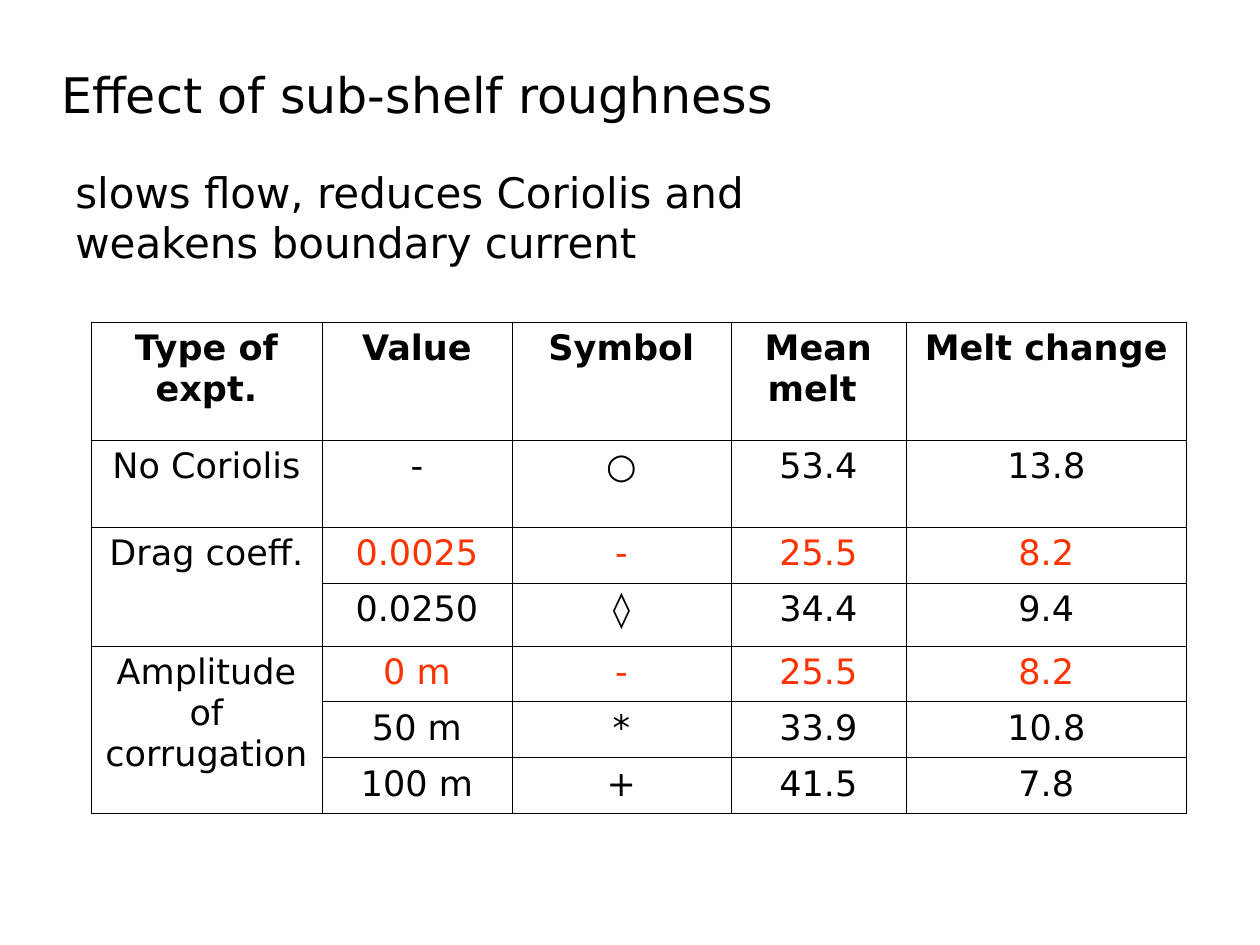
"""Build the slide on the effect of sub-shelf roughness."""
from lxml.etree import SubElement as Sub
from pptx import Presentation
from pptx.dml.color import RGBColor
from pptx.enum.text import MSO_ANCHOR as Anchor, PP_ALIGN as Align
from pptx.oxml.ns import qn
from pptx.util import Pt

PX = 914400 / 126
BLACK, RED, WHITE = "000000", "FF3300", "FFFFFF"


def px(n):
    return round(n * PX)


def style(font, size, color, bold=False):
    font.name, font.size, font.bold = "DejaVu Sans", Pt(size), bold
    font.color.rgb = RGBColor.from_string(color)


prs = Presentation()
prs.slide_width, prs.slide_height = px(1260), px(945)
slide = prs.slides.add_slide(prs.slide_layouts[6])

texts = [
    ("Effect of sub-shelf roughness", (49, 45, 1111, 97), 28, Anchor.MIDDLE),
    ("slows flow, reduces Coriolis and weakens boundary current",
     (63, 160, 883, 130), 24, Anchor.TOP),
]
for text, place, size, anchor in texts:
    frame = slide.shapes.add_textbox(*map(px, place)).text_frame
    frame.word_wrap, frame.vertical_anchor = True, anchor
    frame.text = text
    style(frame.paragraphs[0].font, size, BLACK)

rows = [
    ("Type of expt.", "Value", "Symbol", "Mean melt ", "Melt change"),
    ("No Coriolis", "-", "○", "53.4", "13.8"),
    ("Drag coeff.", "0.0025", "-", "25.5", "8.2"),
    ("", "0.0250", "◊", "34.4", "9.4"),
    ("Amplitude of corrugation", "0 m", "-", "25.5", "8.2"),
    ("", "50 m", "*", "33.9", "10.8"),
    ("", "100 m", "+", "41.5", "7.8"),
]
wides = [231, 190, 219, 175, 281]
highs = [118, 87, 56, 63, 56, 56, 56]
reds = (2, 4)

table = slide.shapes.add_table(
    len(rows), len(wides), px(91), px(322), px(sum(wides)), px(sum(highs))).table
table.first_row = table.horz_banding = False
for col, wide in zip(table.columns, wides):
    col.width = px(wide)
for row, high in zip(table.rows, highs):
    row.height = px(high)

for r, row in enumerate(rows):
    for c, text in enumerate(row):
        cell = table.cell(r, c)
        cell.text = text
        para = cell.text_frame.paragraphs[0]
        para.alignment = Align.CENTER
        style(para.font, 20, RED if r in reds and c else BLACK, r == 0)
        props = cell._tc.get_or_add_tcPr()
        for side in ("lnL", "lnR", "lnT", "lnB"):
            line = Sub(props, qn("a:" + side), w=str(Pt(0.45)))
            Sub(Sub(line, qn("a:solidFill")), qn("a:srgbClr"), val=BLACK)
        cell.fill.solid()
        cell.fill.fore_color.rgb = RGBColor.from_string(WHITE)

for top, end in ((2, 3), (4, 6)):
    table.cell(top, 0).merge(table.cell(end, 0))

prs.save("out.pptx")
